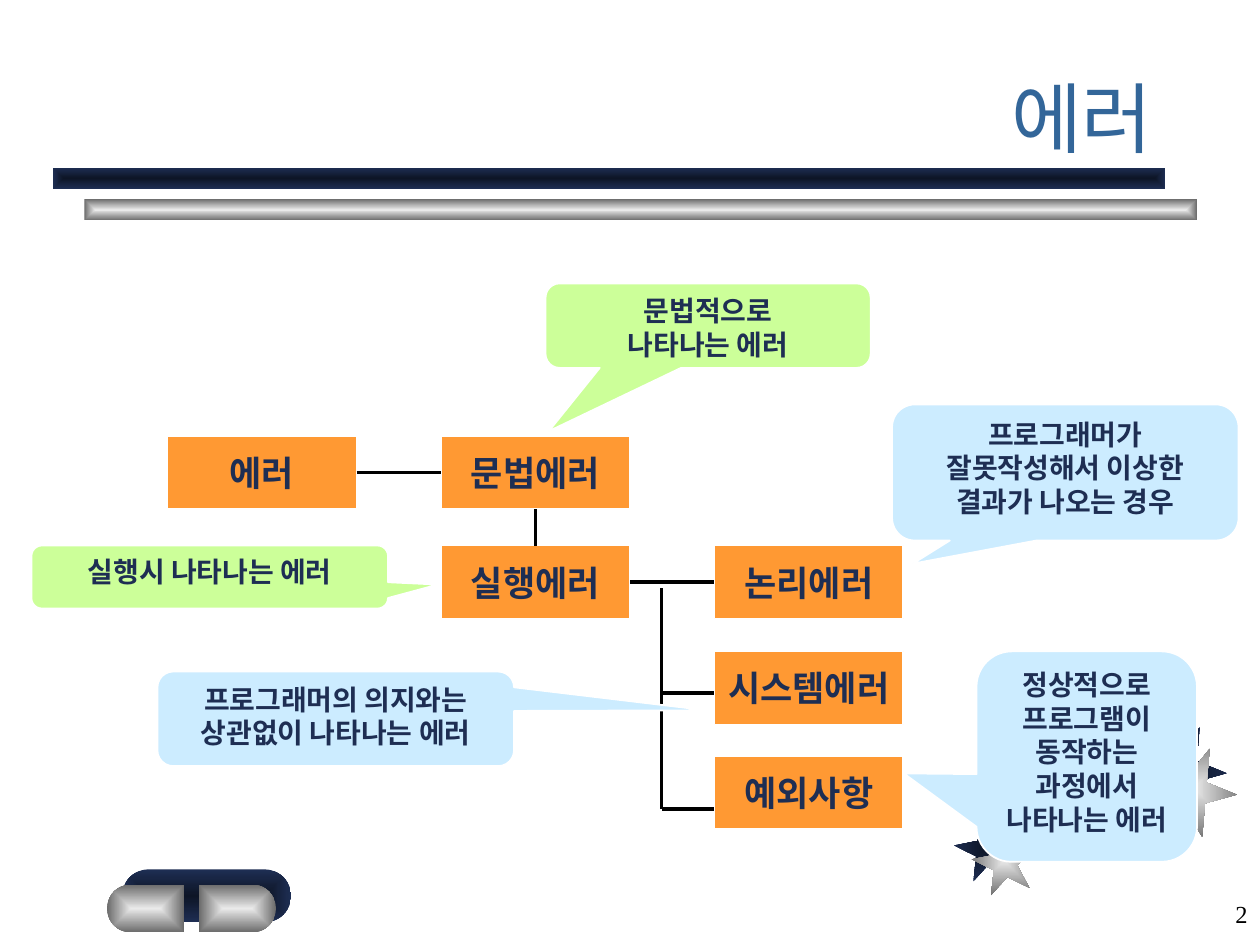
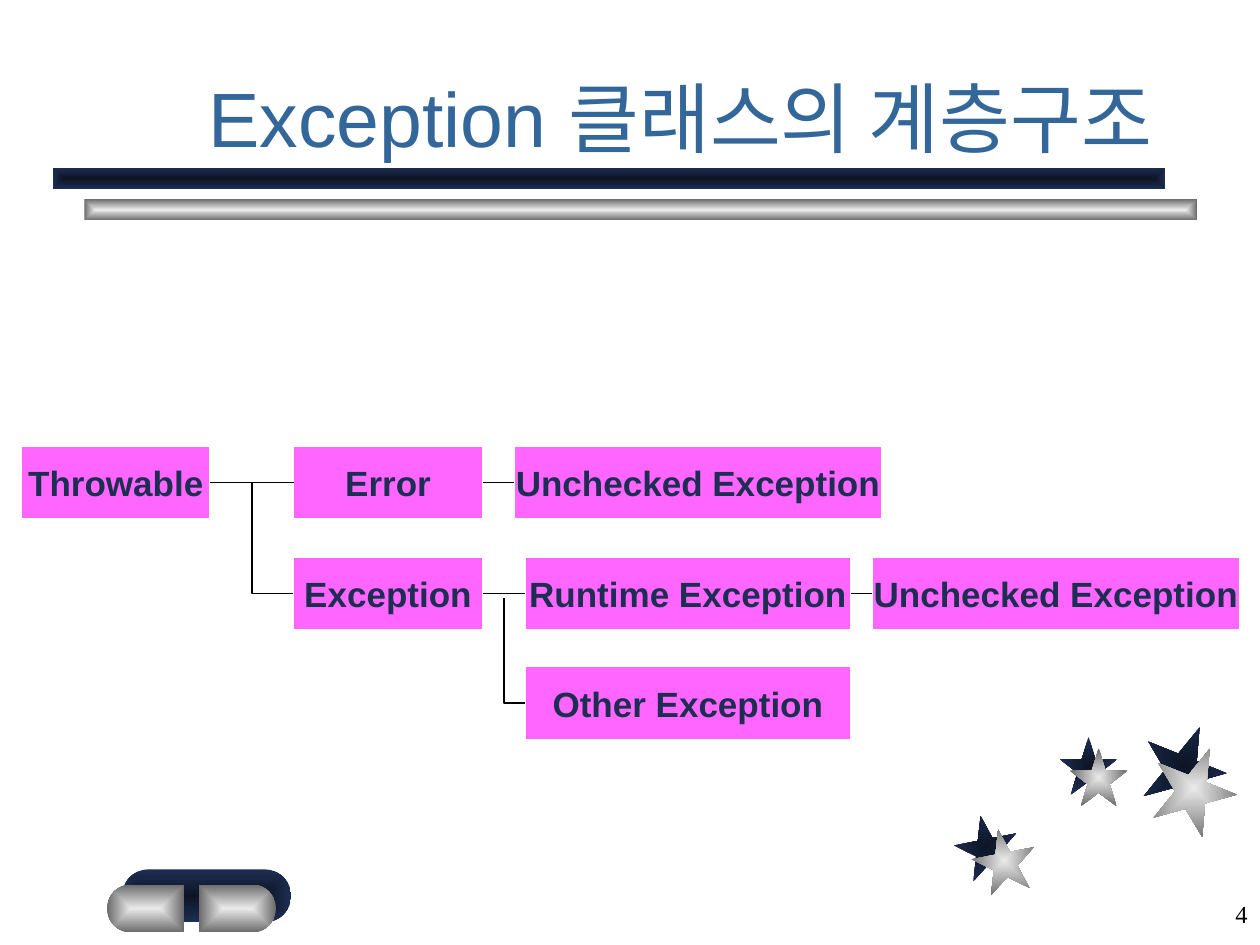
"""Build two slides on errors and the exception class hierarchy."""
from math import cos, pi, sin

from lxml.etree import SubElement
from pptx import Presentation
from pptx.dml.color import RGBColor
from pptx.enum.shapes import MSO_CONNECTOR as Connector, MSO_SHAPE as Shape
from pptx.enum.text import MSO_ANCHOR as Anchor, MSO_AUTO_SIZE as AutoSize, PP_ALIGN as Align
from pptx.oxml.ns import qn
from pptx.util import Inches, Pt

NAVY, TITLE_BLUE, WHITE, BLACK = "1E2E53", "336699", "FFFFFF", "000000"
ORANGE, PINK, GREEN, SKY = "FF9933", "FF66FF", "CCFF99", "CCECFF"
DARK_GLOW, SILVER_GLOW = ("0D1526", NAVY), ("EAEAEA", "6B6B6B")
TOP, LEFT, BOTTOM, RIGHT = range(4)
NODE_WIDTH, NODE_HEIGHT = 1.5, 0.58
STARS = [
    (DARK_GLOW, 7.58, 6.47, 0.5, 349),
    (DARK_GLOW, 8.41, 5.85, 0.46, 0),
    (DARK_GLOW, 9.06, 5.75, 0.67, 22),
    (SILVER_GLOW, 7.72, 6.58, 0.5, 349),
    (SILVER_GLOW, 8.49, 5.94, 0.46, 0),
    (SILVER_GLOW, 9.14, 5.92, 0.67, 22),
]


def rgb(color):
    return RGBColor.from_string(color)


def style_text(frame, lines, size, color, align, font="Arial", bold=False):
    frame.text = "\n".join(lines)
    for paragraph in frame.paragraphs:
        paragraph.alignment = align
        paragraph.font.name = font
        paragraph.font.size = Pt(size)
        paragraph.font.bold = bold
        paragraph.font.color.rgb = rgb(color)


def glow(shape, colors):
    shape.shadow.inherit = False
    shape.line.fill.background()
    shape.fill.gradient()
    for stop, color, position in zip(shape.fill.gradient_stops, colors, (0, 1)):
        stop.color.rgb = rgb(color)
        stop.position = position
    gradient = shape.element.spPr.find(qn("a:gradFill"))
    gradient.remove(gradient.find(qn("a:lin")))
    center = SubElement(gradient, qn("a:path"), {"path": "rect"})
    SubElement(center, qn("a:fillToRect"), dict.fromkeys("ltrb", "50000"))


def add_ornament(slide, kind, colors, left, top, width, height, rotation=0):
    ornament = slide.shapes.add_shape(
        kind, Inches(left), Inches(top), Inches(width), Inches(height))
    ornament.rotation = rotation
    glow(ornament, colors)
    return ornament


def add_half_pill(slide, flat_x, center_x):
    radius, center_y, steps = 0.19, 7.21, 20
    direction = 1 if center_x > flat_x else -1
    angles = [pi * step / steps - pi / 2 for step in range(steps + 1)]
    arc = [(center_x + direction * radius * cos(angle), center_y + radius * sin(angle))
           for angle in angles]
    outline = arc + [(flat_x, center_y + radius)]
    builder = slide.shapes.build_freeform(Inches(flat_x), Inches(center_y - radius))
    builder.add_line_segments([(Inches(x), Inches(y)) for x, y in outline], close=True)
    glow(builder.convert_to_shape(), SILVER_GLOW)


def add_page(deck, title, number):
    slide = deck.slides.add_slide(deck.slide_layouts[5])
    for colors, left, top, size, rotation in STARS:
        add_ornament(slide, Shape.STAR_5_POINT, colors, left, top, size, size, rotation)
    add_ornament(slide, Shape.RECTANGLE, SILVER_GLOW, 0.67, 1.58, 8.83, 0.17)
    add_ornament(slide, Shape.RECTANGLE, DARK_GLOW, 0.42, 1.33, 8.83, 0.17)
    pill = add_ornament(slide, Shape.ROUNDED_RECTANGLE, DARK_GLOW, 0.97, 6.9, 1.34, 0.42)
    pill.adjustments[0] = 0.5
    add_half_pill(slide, 1.46, 1.04)
    add_half_pill(slide, 1.58, 2)

    heading = slide.shapes.title
    heading.left, heading.top = Inches(0.75), Inches(0.42)
    heading.width, heading.height = Inches(8.5), Inches(0.92)
    heading.text_frame.auto_size = AutoSize.NONE
    heading.text_frame.vertical_anchor = Anchor.BOTTOM
    style_text(heading.text_frame, [title], 44, TITLE_BLUE, Align.RIGHT)

    page_number = slide.shapes.add_textbox(Inches(7.92), Inches(7), Inches(2.08), Inches(0.5))
    page_number.text_frame.word_wrap = True
    page_number.text_frame.vertical_anchor = Anchor.MIDDLE
    style_text(page_number.text_frame, [number], 14, BLACK, Align.RIGHT, "Times New Roman")
    return slide


def add_panel(slide, kind, lines, left, top, width, height, fill, size):
    panel = slide.shapes.add_shape(
        kind, Inches(left), Inches(top), Inches(width), Inches(height))
    panel.shadow.inherit = False
    panel.fill.solid()
    panel.fill.fore_color.rgb = rgb(fill)
    panel.line.color.rgb = rgb(WHITE)
    panel.line.width = Pt(1)
    style_text(panel.text_frame, lines, size, NAVY, Align.CENTER, bold=True)
    return panel


def add_node(slide, label, left, top, fill, width=NODE_WIDTH):
    node = add_panel(slide, Shape.RECTANGLE, [label], left, top, width, NODE_HEIGHT, fill, 20)
    node.text_frame.word_wrap = False
    node.text_frame.vertical_anchor = Anchor.MIDDLE
    return node


def add_callout(slide, lines, left, top, width, height, fill, tip):
    callout = add_panel(slide, Shape.ROUNDED_RECTANGULAR_CALLOUT, lines,
                        left, top, width, height, fill, 16)
    callout.text_frame.word_wrap = True
    callout.text_frame.vertical_anchor = Anchor.TOP
    callout.adjustments[0], callout.adjustments[1] = tip


def add_line(slide, start, end, weight, kind=Connector.STRAIGHT):
    line = slide.shapes.add_connector(kind, *map(Inches, start + end))
    line.line.color.rgb = rgb(BLACK)
    line.line.width = Pt(weight)
    SubElement(line.element.spPr, qn("a:effectLst"))
    return line


def join(slide, first, first_side, second, second_side, weight):
    line = add_line(slide, (0, 0), (1, 1), weight)
    line.begin_connect(first, first_side)
    line.end_connect(second, second_side)


def add_elbow(slide, start, end, node):
    elbow = add_line(slide, start, end, 1, Connector.ELBOW)
    elbow.element.spPr.find(qn("a:prstGeom")).set("prst", "bentConnector2")
    elbow.begin_connect(node, LEFT)


def build_error_kinds(deck):
    slide = add_page(deck, "에러", "2")
    error = add_node(slide, "에러", 1.33, 3.46, ORANGE)
    runtime = add_node(slide, "실행에러", 3.5, 4.33, ORANGE)
    add_node(slide, "예외사항", 5.67, 6, ORANGE)
    add_node(slide, "시스템에러", 5.67, 5.17, ORANGE)
    logic = add_node(slide, "논리에러", 5.67, 4.33, ORANGE)
    syntax = add_node(slide, "문법에러", 3.5, 3.46, ORANGE)

    join(slide, error, RIGHT, syntax, LEFT, 2.25)
    join(slide, syntax, BOTTOM, runtime, TOP, 2.25)
    join(slide, runtime, RIGHT, logic, LEFT, 2.25)
    add_line(slide, (5.25, 4.67), (5.25, 6.42), 2.25)
    for branch_y in (5.5, 6.42):
        add_line(slide, (5.25, branch_y), (5.67, branch_y), 2.25)

    add_callout(slide, ["실행시 나타나는 에러"], 0.25, 4.33, 2.83, 0.5, GREEN, (0.64, 0.12))
    add_callout(slide, ["문법적으로", "나타나는 에러"],
                4.33, 2.25, 2.58, 0.67, GREEN, (-0.49, 1.25))
    add_callout(slide, ["프로그래머의 의지와는 상관없이 나타나는 에러"],
                1.25, 5.33, 2.83, 0.75, SKY, (1.04, -0.09))
    add_callout(slide, ["프로그래머가 잘못작성해서 이상한 결과가 나오는 경우"],
                7.08, 3.21, 2.75, 1.08, SKY, (-0.44, 0.67))
    add_callout(slide, ["정상적으로 프로그램이 동작하는 과정에서 나타나는 에러"],
                7.75, 5.17, 1.75, 1.67, SKY, (-0.83, 0.08))


def build_class_hierarchy(deck):
    slide = add_page(deck, "Exception 클래스의 계층구조", "4")
    first_row, second_row, third_row = 3.54, 4.42, 5.29
    throwable = add_node(slide, "Throwable", 0.17, first_row, PINK)
    exception = add_node(slide, "Exception", 2.33, second_row, PINK)
    unchecked_error = add_node(slide, "Unchecked Exception", 4.08, first_row, PINK, 2.92)
    other = add_node(slide, "Other Exception", 4.17, third_row, PINK, 2.58)
    runtime = add_node(slide, "Runtime Exception", 4.17, second_row, PINK, 2.58)
    error = add_node(slide, "Error", 2.33, first_row, PINK)
    unchecked_runtime = add_node(slide, "Unchecked Exception", 6.92, second_row, PINK, 2.92)

    for parent, child in [(throwable, error), (exception, runtime),
                          (error, unchecked_error), (runtime, unchecked_runtime)]:
        join(slide, parent, RIGHT, child, LEFT, 1)
    add_elbow(slide, (2.33, 4.71), (2, 3.83), exception)
    add_elbow(slide, (4.17, 5.58), (4, 4.75), other)


def main():
    deck = Presentation()
    deck.slide_width, deck.slide_height = Inches(10), Inches(7.5)
    build_error_kinds(deck)
    build_class_hierarchy(deck)
    deck.save("out.pptx")


if __name__ == "__main__":
    main()
